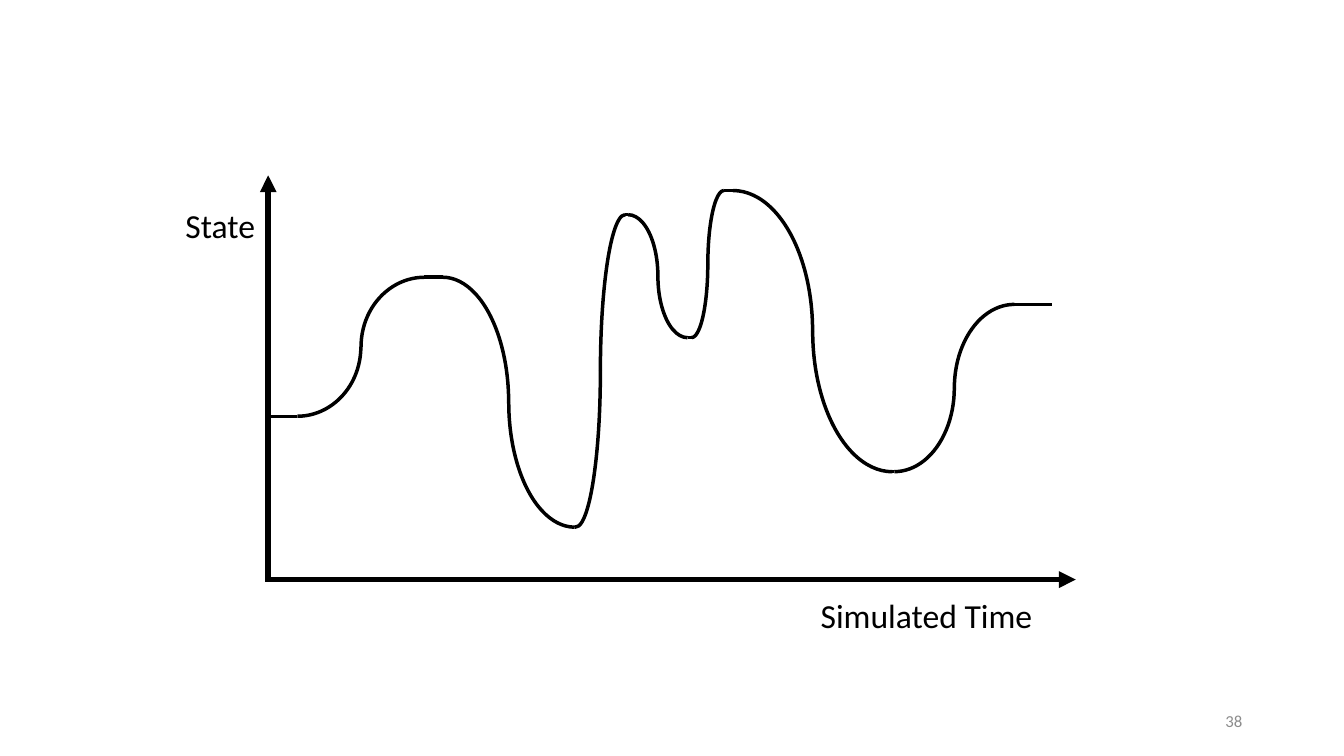
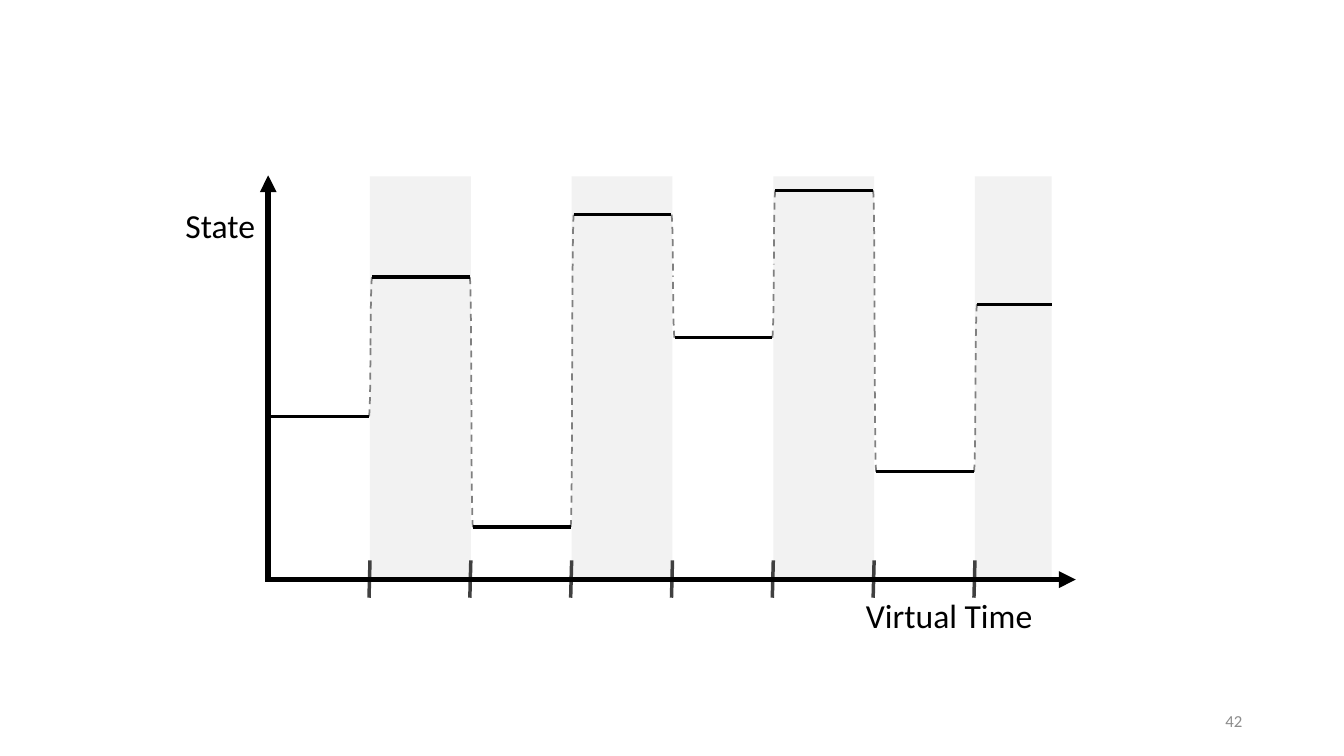
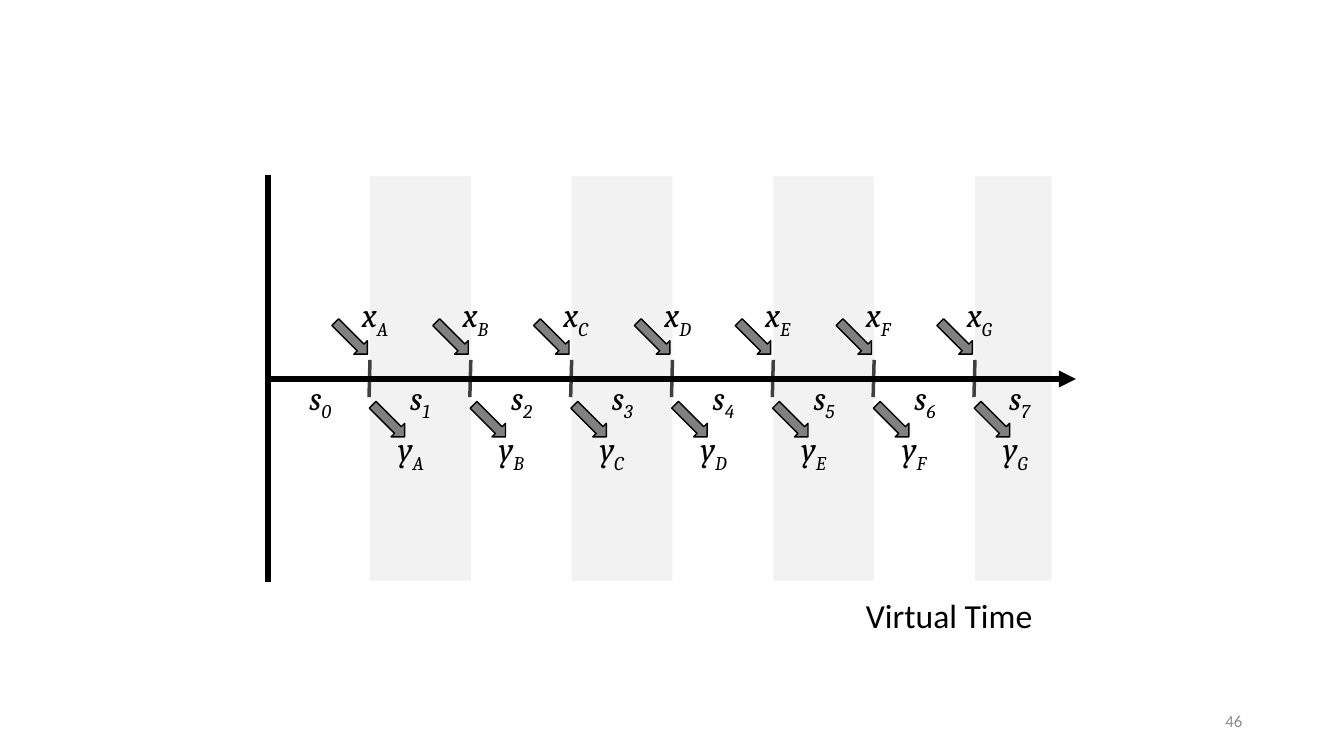
from lxml import etree
from pptx import Presentation
from pptx import util as u
from pptx.dml.color import RGBColor
from pptx.enum import dml, shapes, text
from pptx.oxml.ns import qn

COLORS = {"ink": "000000", "number": "8C8C8C", "band": "F2F2F2",
          "jump": "808080", "tick": "404040", "arrow": "808080"}

# Plot geometry in inches
AXIS_X, TOP, BOTTOM, PLOT_END = 2.66, 1.75, 5.75, 10.43
LEVELS = [4.13, 2.75, 5.23, 2.13, 3.35, 1.89, 4.68, 3.02]
CURVES = [(2.95, 4.21), (4.39, 5.7), (5.71, 6.2), (6.23, 6.82),
          (6.86, 7.18), (7.27, 8.85), (8.87, 10.06)]
EVENTS = "ABCDEFG"
TICKS = [3.67 + step for step in range(len(EVENTS))]
JUMPS = [(tick - 0.01, tick + 0.02) for tick in TICKS]


def rgb(name):
    return RGBColor.from_string(COLORS[name])


class Slides:
    def __init__(self):
        self.deck = Presentation()
        self.deck.slide_width = u.Inches(13.33)
        self.deck.slide_height = u.Inches(7.5)
        self.page = None

    def new_page(self, number):
        self.page = self.deck.slides.add_slide(self.deck.slide_layouts[6])
        self.label([(number, False)], 9.42, 6.95, 3, 0.4, size=12, color="number",
                   align=text.PP_ALIGN.RIGHT, anchor=text.MSO_ANCHOR.MIDDLE, wrap=True)

    def label(self, spans, left, top, width, height=0.5, size=24, color="ink",
              font="Calibri", italic=False, align=text.PP_ALIGN.LEFT,
              anchor=text.MSO_ANCHOR.TOP, wrap=False):
        """Spans are (words, is_subscript) pairs."""
        box = self.page.shapes.add_textbox(*map(u.Inches, (left, top, width, height)))
        frame = box.text_frame
        frame.word_wrap = wrap
        frame.vertical_anchor = anchor
        para = frame.paragraphs[0]
        para.alignment = align
        for words, subscript in spans:
            span = para.add_run()
            span.text = words
            span.font.name = font
            span.font.size = u.Pt(size)
            span.font.italic = italic
            span.font.color.rgb = rgb(color)
            if subscript:
                span._r.get_or_add_rPr().set("baseline", "-25000")

    def symbol(self, letter, index, left, top):
        self.label([(letter, False), (index, True)], left, top, 0.48,
                   font="Cambria", italic=True)

    def line(self, x1, y1, x2, y2, color="ink", weight=2.5, arrow=False):
        line = self.page.shapes.add_connector(
            shapes.MSO_CONNECTOR.STRAIGHT, *map(u.Inches, (x1, y1, x2, y2)))
        line.line.color.rgb = rgb(color)
        line.line.width = u.Pt(weight)
        if arrow:
            etree.SubElement(line.line._get_or_add_ln(), qn("a:tailEnd"), type="triangle")
        etree.SubElement(line._element.spPr, qn("a:effectLst"))

    def shape(self, kind, left, top, width, height, fill=None, line=None,
              weight=1, rotation=0, parent=None):
        shape = (parent or self.page).shapes.add_shape(
            kind, *map(u.Inches, (left, top, width, height)))
        shape.shadow.inherit = False
        shape.rotation = rotation
        if fill:
            shape.fill.solid()
            shape.fill.fore_color.rgb = rgb(fill)
        else:
            shape.fill.background()
        if line:
            shape.line.color.rgb = rgb(line)
            shape.line.width = u.Pt(weight)
        else:
            shape.line.fill.background()
        return shape

    def s_curve(self, start, end, y1, y2, color, weight, dashed):
        """Two quarter arcs that meet halfway between the levels."""
        group = self.page.shapes.add_group_shape()
        width = end - start
        for part in range(2):
            arc = self.shape(shapes.MSO_SHAPE.ARC, start + width * (part - 0.5),
                             min(y1, y2), width, abs(y2 - y1), line=color,
                             weight=weight, rotation=180 * part, parent=group)
            if y2 < y1:
                arc._element.spPr.get_or_add_xfrm().set("flipV", "1")
            if dashed:
                arc.line.dash_style = dml.MSO_LINE.DASH

    def trace(self, changes, color="ink", weight=2.5, dashed=False):
        for (start, end), y1, y2 in zip(changes, LEVELS, LEVELS[1:]):
            self.s_curve(start, end, y1, y2, color, weight, dashed)
        starts = [AXIS_X] + [end for _, end in changes]
        ends = [start for start, _ in changes] + [PLOT_END]
        for start, end, level in zip(starts, ends, LEVELS):
            self.line(start, level, end, level)

    def bands(self):
        edges = TICKS + [PLOT_END]
        for left, right in zip(edges[::2], edges[1::2]):
            self.shape(shapes.MSO_SHAPE.RECTANGLE, left, TOP, right - left, 4.01, fill="band")

    def ticks(self, y):
        for tick in TICKS:
            self.line(tick, y - 0.19, tick - 0.01, y + 0.18, color="tick")

    def axes(self, y, arrow_up=True):
        self.line(2.64, y, 10.67, y, weight=4, arrow=True)
        self.line(AXIS_X, 5.77, AXIS_X, 1.74, weight=4, arrow=arrow_up)

    def time_label(self, words, width):
        self.label([(words, False)], 10.36 - width, 5.85, width)

    def state_label(self):
        self.label([("State", False)], 1.74, 1.98, 0.9)

    def arrow(self, left, top):
        self.shape(shapes.MSO_SHAPE.RIGHT_ARROW, left, top, 0.45, 0.19,
                   fill="arrow", line="ink", rotation=45)


def main():
    slides = Slides()

    # Continuous state
    slides.new_page("38")
    slides.axes(BOTTOM)
    slides.trace(CURVES)
    slides.time_label("Simulated Time", 2.32)
    slides.state_label()

    # Discrete state
    slides.new_page("42")
    slides.bands()
    slides.trace(JUMPS, "jump", 1.25, dashed=True)
    slides.ticks(BOTTOM)
    slides.axes(BOTTOM)
    slides.time_label("Virtual Time", 1.87)
    slides.state_label()

    # Inputs, states and outputs
    slides.new_page("46")
    middle = 3.76
    slides.bands()
    slides.ticks(middle)
    slides.axes(middle, arrow_up=False)
    slides.time_label("Virtual Time", 1.87)
    for index in range(len(LEVELS)):
        slides.symbol("s", str(index), min(2.97 + index, 9.91), 3.69)
    for tick, event in zip(TICKS, EVENTS):
        slides.arrow(tick - 0.41, 3.26)
        slides.symbol("x", event, tick - 0.18, 2.87)
        slides.arrow(tick - 0.04, 4.08)
        slides.symbol("y", event, tick + 0.18, 4.2)

    slides.deck.save("out.pptx")


if __name__ == "__main__":
    main()
